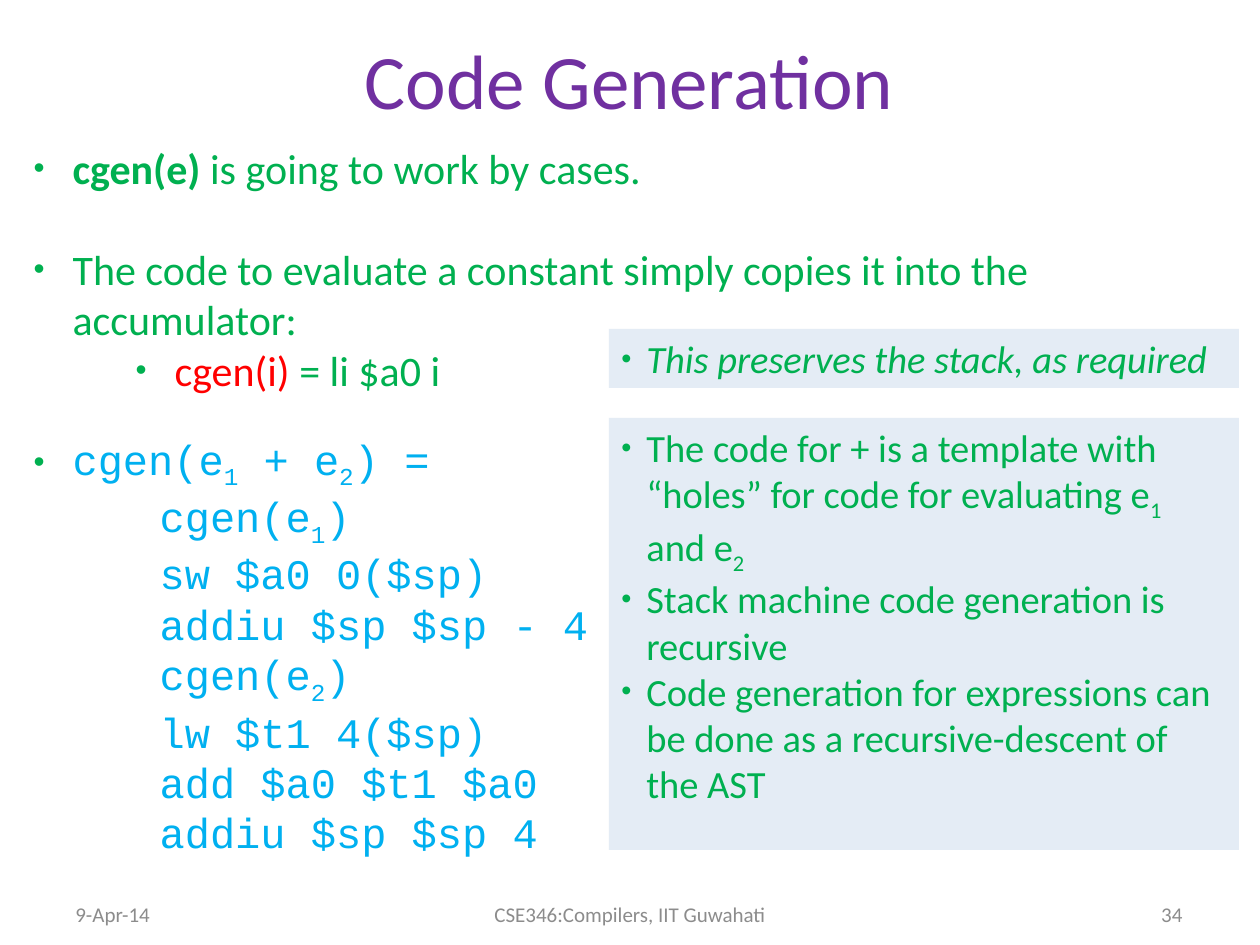
"""Build the Code Generation slide of a compilers lecture."""
import pptx
import pptx.util
import pptx.dml.color
import pptx.enum.shapes
import pptx.enum.text
import pptx.oxml
import pptx.oxml.ns

EMU_PER_PX = 914400 / 126
COLORS = {"title": "7030A0", "text": "00B050", "code": "00B0F0",
          "case": "FF0000", "panel": "4F81BD", "footer": "8C8C8C"}
ALIGN = pptx.enum.text.PP_ALIGN
ANCHOR = pptx.enum.text.MSO_ANCHOR

POINT = {"margin": 39, "hang": 39}
CASE = {"margin": 141, "hang": 39}
CODE = {"font": "Courier New", "color": "code"}
STEP = {"margin": 126, **CODE}
NOTE = {"margin": 25, "hang": 25, "size": 22}
SUB = {"sub": True}

TITLE = "Code Generation"
BODY = [
    ([("cgen(e)", {"bold": True}), " is going to work by cases."], POINT),
    (["The code to evaluate a constant simply copies it into the accumulator:"],
     {"before": 29, **POINT}),
    ([("cgen(i)", {"color": "case"}), " = li $a0 i"], CASE),
    (["cgen(e", ("1", SUB), " + e", ("2", SUB), ") ="], {"before": 22, **POINT, **CODE}),
    (["cgen(e", ("1", SUB), ")"], STEP),
    (["sw $a0 0($sp)"], STEP),
    (["addiu $sp $sp - 4"], STEP),
    (["cgen(e", ("2", SUB), ")"], STEP),
    (["lw $t1 4($sp)"], STEP),
    (["add $a0 $t1 $a0"], STEP),
    (["addiu $sp $sp 4"], STEP),
]
PANELS = [
    ((609, 329, 630, 59),
     [(["This preserves the stack, as required"], {"italic": True, **NOTE})]),
    ((609, 418, 630, 432),
     [(["The code for + is a template with “holes” for code for evaluating e",
        ("1", SUB), " and e", ("2", SUB)], NOTE),
      (["Stack machine code generation is recursive"], NOTE),
      (["Code generation for expressions can be done as a recursive-descent of the AST"], NOTE)]),
]
FOOTERS = [
    ("9-Apr-14", (63, 893, 292, 42), ALIGN.LEFT),
    ("CSE346:Compilers, IIT Guwahati", (431, 893, 398, 42), ALIGN.CENTER),
    ("34", (903, 893, 292, 42), ALIGN.RIGHT),
]


def px(length):
    return pptx.util.Emu(round(length * EMU_PER_PX))


def place(shape, box):
    shape.left, shape.top, shape.width, shape.height = map(px, box)


def add_xml(parent, tag, **attributes):
    element = pptx.oxml.parse_xml(f"<a:{tag} {pptx.oxml.ns.nsdecls('a')}/>")
    for name, value in attributes.items():
        element.set(name, str(value))
    parent.append(element)
    return element


def write(paragraph, text, *, size=24, font="Calibri", color="text", bold=False,
          italic=False, align=ALIGN.LEFT, margin=0, hang=0, before=0):
    """Fill a paragraph with runs, each a string or a (string, changes) pair."""
    properties = paragraph._p.get_or_add_pPr()
    properties.set("marL", str(px(margin)))
    properties.set("indent", str(px(-hang)))
    if hang:
        add_xml(add_xml(properties, "buClr"), "srgbClr", val=COLORS["text"])
        add_xml(properties, "buSzPct", val=75000)
        add_xml(properties, "buFont", typeface="Arial")
        add_xml(properties, "buChar", char="•")
    else:
        add_xml(properties, "buNone")
    paragraph.alignment = align
    paragraph.space_before = pptx.util.Pt(before)
    for part in text:
        words, changes = (part, {}) if isinstance(part, str) else part
        run = paragraph.add_run()
        run.text = words
        run.font.size = pptx.util.Pt(size)
        run.font.name = font
        run.font.bold = changes.get("bold", bold)
        run.font.italic = italic
        run.font.color.rgb = pptx.dml.color.RGBColor.from_string(
            COLORS[changes.get("color", color)])
        if changes.get("sub"):
            run.font._element.set("baseline", "-25000")


def fill_frame(shape, paragraphs, anchor=ANCHOR.TOP):
    frame = shape.text_frame
    frame.word_wrap = True
    frame.auto_size = pptx.enum.text.MSO_AUTO_SIZE.NONE
    frame.vertical_anchor = anchor
    for index, (text, style) in enumerate(paragraphs):
        paragraph = frame.add_paragraph() if index else frame.paragraphs[0]
        write(paragraph, text, **style)


def add_panel(slide, box, notes):
    panel = slide.shapes.add_shape(
        pptx.enum.shapes.MSO_SHAPE.RECTANGLE, *map(px, box))
    panel.shadow.inherit = False
    panel.line.fill.background()
    panel.fill.solid()
    panel.fill.fore_color.rgb = pptx.dml.color.RGBColor.from_string(COLORS["panel"])
    tint = panel._element.spPr.find(".//" + pptx.oxml.ns.qn("a:srgbClr"))
    add_xml(tint, "alpha", val=15000)
    fill_frame(panel, notes)


def main():
    deck = pptx.Presentation()
    deck.slide_width, deck.slide_height = px(1260), px(945)
    slide = deck.slides.add_slide(deck.slide_layouts[1])
    title, body = slide.placeholders
    place(title, (63, 21, 1133, 115))
    fill_frame(title, [([TITLE], {"size": 44, "color": "title", "align": ALIGN.CENTER})],
               ANCHOR.MIDDLE)
    place(body, (21, 136, 1207, 724))
    fill_frame(body, BODY)
    for box, notes in PANELS:
        add_panel(slide, box, notes)
    for text, box, align in FOOTERS:
        footer = slide.shapes.add_textbox(*map(px, box))
        fill_frame(footer, [([text], {"size": 12, "color": "footer", "align": align})],
                   ANCHOR.MIDDLE)
    deck.save("out.pptx")


if __name__ == "__main__":
    main()
